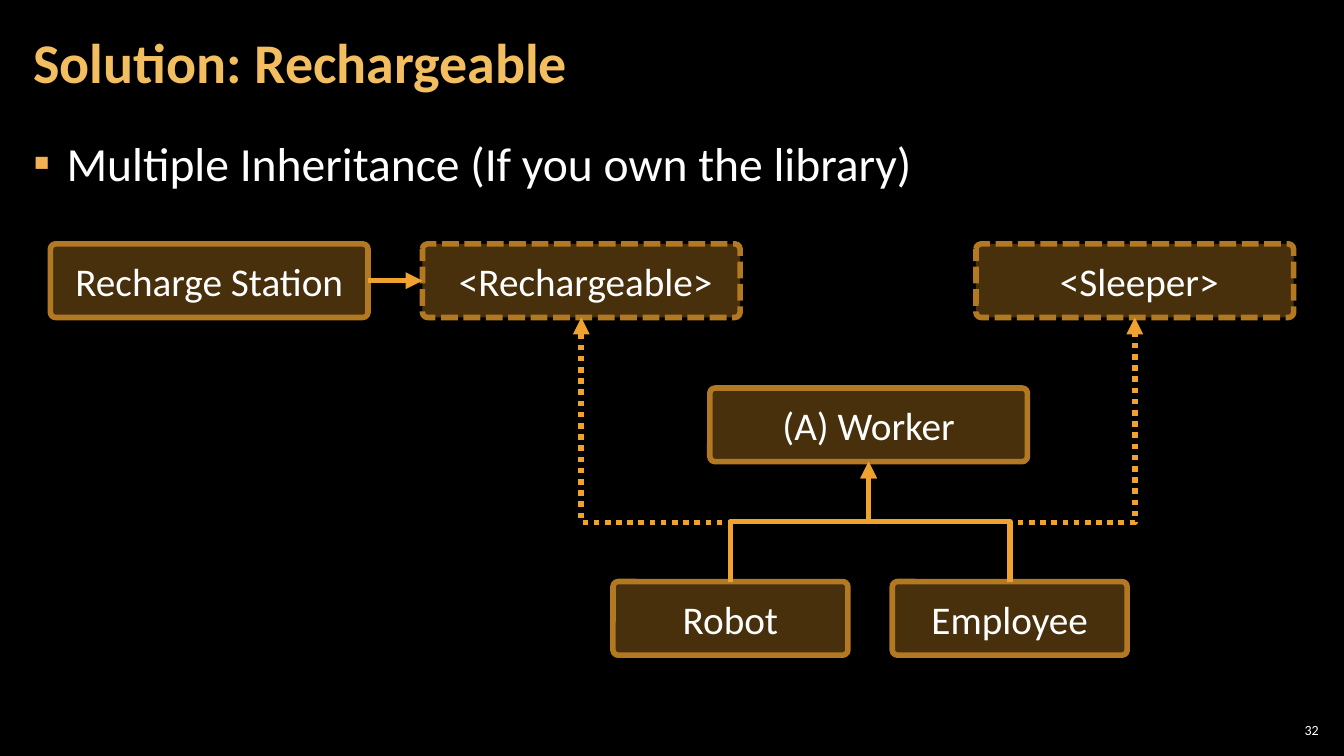
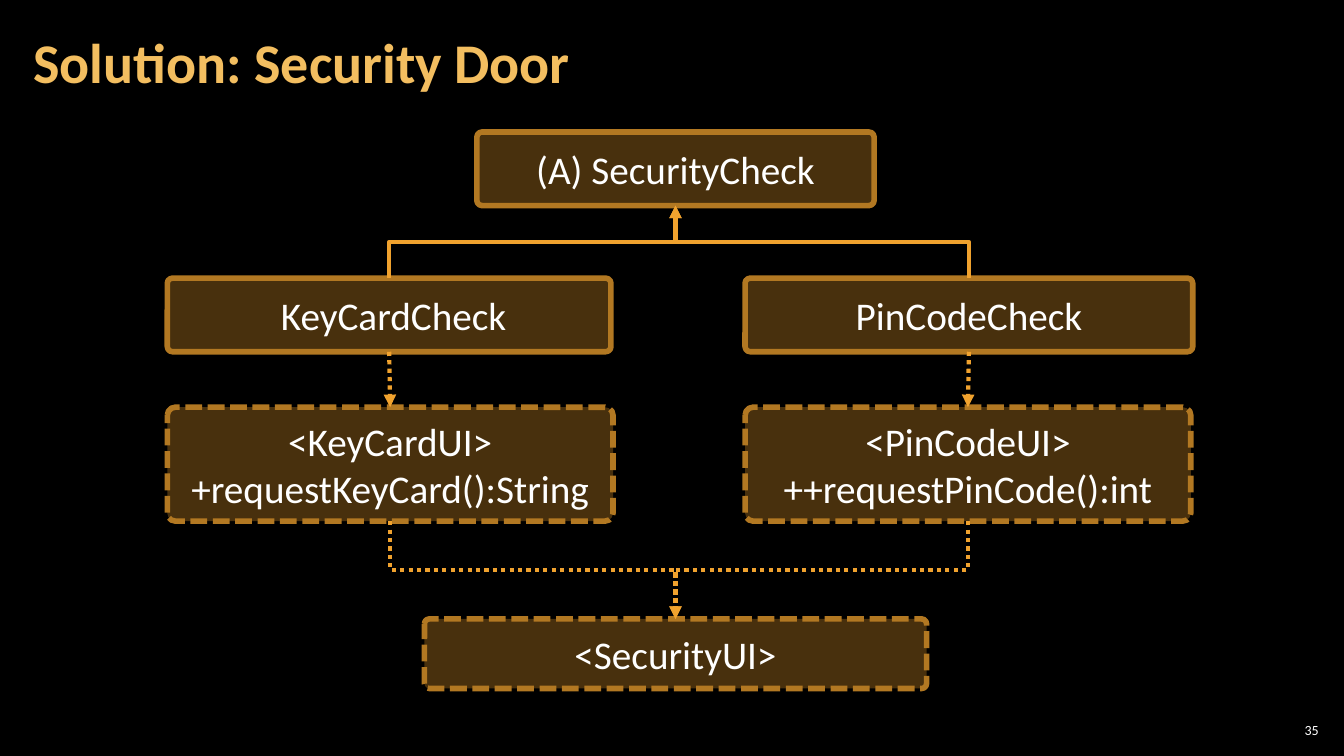
"""Build two class-diagram slides in a shared black and amber style."""
import pptx
import pptx.dml.color
import pptx.enum.dml
import pptx.enum.shapes
import pptx.enum.text
import pptx.oxml
import pptx.oxml.ns
import pptx.util
from pptx.util import Inches

FONT = "Calibri"
BLACK, WHITE = "000000", "FFFFFF"
TITLE_COLOR, BULLET_COLOR = "F3BE60", "F2B254"
AMBER, BORDER = "F0A22E", "B27822"
TOP, LEFT, BOTTOM, RIGHT = range(4)
HALFWAY, LOW_BEND = 0.5, 0.224
LINE_STYLE = pptx.enum.dml.MSO_LINE
ALIGN = pptx.enum.text.PP_ALIGN
MIDDLE = pptx.enum.text.MSO_ANCHOR.MIDDLE
TITLE_AND_CONTENT, TITLE_ONLY = 1, 5

# fmt: skip
SLIDES = [
    {
        "title": "Solution: Rechargeable",
        "number": "32",
        "bullet": "Multiple Inheritance (If you own the library)",
        "line_width": 4,
        "classes": {
            "worker": ("(A) Worker", 7.04, 3.85, 3.15, 0.73),
            "robot": ("Robot", 6.08, 5.77, 2.33, 0.73),
            "employee": ("Employee", 8.85, 5.77, 2.33, 0.73),
            "station": ("Recharge Station", 0.5, 2.42, 3.15, 0.73),
        },
        "interfaces": {
            "rechargeable": (" <Rechargeable>", 4.19, 2.42, 3.15, 0.73),
            "sleeper": (" <Sleeper>", 9.68, 2.42, 3.15, 0.73),
        },
        "straight": [("station", RIGHT, "rechargeable", LEFT, False)],
        "bent": [
            ("robot", TOP, "worker", BOTTOM, False, HALFWAY),
            ("robot", TOP, "rechargeable", BOTTOM, True, LOW_BEND),
            ("employee", TOP, "worker", BOTTOM, False, HALFWAY),
            ("employee", TOP, "sleeper", BOTTOM, True, LOW_BEND),
        ],
    },
    {
        "title": "Solution: Security Door",
        "number": "35",
        "bullet": None,
        "line_width": 3,
        "classes": {
            "check": ("(A) SecurityCheck", 4.73, 1.31, 3.94, 0.73),
            "card": (" KeyCardCheck", 1.66, 2.76, 4.4, 0.73),
            "pin": ("PinCodeCheck", 7.39, 2.76, 4.44, 0.73),
        },
        "interfaces": {
            "card_ui": ("<KeyCardUI>\n+requestKeyCard():String", 1.66, 4.04, 4.42, 1.13),
            "pin_ui": ("<PinCodeUI>\n++requestPinCode():int", 7.39, 4.04, 4.42, 1.13),
            "security_ui": ("<SecurityUI>", 4.21, 6.14, 4.98, 0.69),
        },
        "straight": [
            ("card", BOTTOM, "card_ui", TOP, True),
            ("pin", BOTTOM, "pin_ui", TOP, True),
        ],
        "bent": [
            ("card", TOP, "check", BOTTOM, False, HALFWAY),
            ("pin", TOP, "check", BOTTOM, False, HALFWAY),
            ("card_ui", BOTTOM, "security_ui", TOP, True, HALFWAY),
            ("pin_ui", BOTTOM, "security_ui", TOP, True, HALFWAY),
        ],
    },
]


def color(value):
    return pptx.dml.color.RGBColor.from_string(value)


def add_xml(parent, tag, **attributes):
    child = pptx.oxml.parse_xml(f"<a:{tag} {pptx.oxml.ns.nsdecls('a')}/>")
    for name, value in attributes.items():
        child.set(name, str(value))
    parent.append(child)
    return child


def style_paragraph(para, size, text_color, align=ALIGN.LEFT, bold=False):
    para.alignment = align
    para.font.name = FONT
    para.font.size = pptx.util.Pt(size)
    para.font.bold = bold
    para.font.color.rgb = color(text_color)


def set_text(box, text, side_inset, anchor):
    frame = box.text_frame
    frame.text = text
    frame.word_wrap = True
    frame.auto_size = pptx.enum.text.MSO_AUTO_SIZE.NONE
    frame.vertical_anchor = anchor
    frame.margin_left = frame.margin_right = Inches(side_inset)
    frame.margin_top = frame.margin_bottom = Inches(0.04)
    return frame.paragraphs[0]


def place(shape, left, top, width, height):
    shape.left, shape.top = Inches(left), Inches(top)
    shape.width, shape.height = Inches(width), Inches(height)


def add_title(page, text):
    title = page.shapes.title
    place(title, 0.21, 0.04, 10.47, 1.21)
    para = set_text(title, text, 0.12, MIDDLE)
    style_paragraph(para, 40, TITLE_COLOR, bold=True)
    para.line_spacing = 0.9


def add_bullet(page, text):
    body = page.placeholders[1]
    place(body, 0.21, 1.26, 12.91, 6.09)
    para = set_text(body, text, 0.12, pptx.enum.text.MSO_ANCHOR.TOP)
    style_paragraph(para, 34, WHITE)
    para.line_spacing = 1.05
    para.space_before = para.space_after = pptx.util.Pt(6)
    properties = para._p.get_or_add_pPr()
    properties.set("marL", str(Inches(0.33)))
    properties.set("indent", str(Inches(-0.33)))
    add_xml(add_xml(properties, "buClr"), "srgbClr", val=BULLET_COLOR)
    add_xml(properties, "buFont", typeface=FONT)
    add_xml(properties, "buChar", char="▪")


def add_number(page, text):
    box = page.shapes.add_textbox(Inches(12.65), Inches(7.14), Inches(0.47), Inches(0.21))
    style_paragraph(set_text(box, text, 0.04, MIDDLE), 10, WHITE, ALIGN.RIGHT)


def add_class_box(page, text, left, top, width, height, dashed):
    box = page.shapes.add_shape(
        pptx.enum.shapes.MSO_SHAPE.ROUNDED_RECTANGLE,
        Inches(left), Inches(top), Inches(width), Inches(height))
    box.adjustments[0] = 0.07
    box.shadow.inherit = False
    box.fill.solid()
    box.fill.fore_color.rgb = color(AMBER)
    fill = box._element.spPr.find(pptx.oxml.ns.qn("a:solidFill"))
    add_xml(fill[0], "alpha", val=30000)
    box.line.color.rgb = color(BORDER)
    box.line.width = pptx.util.Pt(4)
    if dashed:
        box.line.dash_style = LINE_STYLE.SQUARE_DOT
    set_text(box, text, 0.1, MIDDLE)
    for para in box.text_frame.paragraphs:
        style_paragraph(para, 28, WHITE, ALIGN.CENTER)
    return box


def add_arrow(page, kind, start, start_site, end, end_site, dotted, width):
    arrow = page.shapes.add_connector(kind, 0, 0, 0, 0)
    arrow.begin_connect(start, start_site)
    arrow.end_connect(end, end_site)
    arrow.line.color.rgb = color(AMBER)
    arrow.line.width = pptx.util.Pt(width)
    if dotted:
        arrow.line.dash_style = LINE_STYLE.ROUND_DOT
    properties = arrow._element.spPr
    add_xml(properties.get_or_add_ln(), "tailEnd", type="triangle")
    add_xml(properties, "effectLst")
    return arrow


def bend_vertically(arrow, bend):
    """Turn an elbow so that it leaves and arrives vertically."""
    rightward = arrow.end_x > arrow.begin_x
    upward = arrow.end_y < arrow.begin_y
    center_x = (arrow.begin_x + arrow.end_x) // 2
    center_y = (arrow.begin_y + arrow.end_y) // 2
    across, along = arrow.width, arrow.height
    arrow.left, arrow.top = center_x - along // 2, center_y - across // 2
    arrow.width, arrow.height = along, across
    properties = arrow._element.spPr
    frame = properties.find(pptx.oxml.ns.qn("a:xfrm"))
    frame.set("rot", str((90 if rightward == upward else 270) * 60000))
    frame.set("flipH", str(int(rightward)))
    frame.set("flipV", str(int(upward)))
    geometry = properties.find(pptx.oxml.ns.qn("a:prstGeom"))
    guides = geometry.find(pptx.oxml.ns.qn("a:avLst"))
    if guides is None:
        guides = add_xml(geometry, "avLst")
    add_xml(guides, "gd", name="adj1", fmla=f"val {round(bend * 100000)}")


def build_slide(deck, content):
    layout = TITLE_AND_CONTENT if content["bullet"] else TITLE_ONLY
    page = deck.slides.add_slide(deck.slide_layouts[layout])
    add_number(page, content["number"])
    add_title(page, content["title"])
    if content["bullet"]:
        add_bullet(page, content["bullet"])
    boxes = {}
    for group, dashed in (("classes", False), ("interfaces", True)):
        for name, values in content[group].items():
            boxes[name] = add_class_box(page, *values, dashed)
    kinds = pptx.enum.shapes.MSO_CONNECTOR
    width = content["line_width"]
    for start, start_site, end, end_site, dotted in content["straight"]:
        add_arrow(page, kinds.STRAIGHT, boxes[start], start_site,
                  boxes[end], end_site, dotted, width)
    for start, start_site, end, end_site, dotted, bend in content["bent"]:
        arrow = add_arrow(page, kinds.ELBOW, boxes[start], start_site,
                          boxes[end], end_site, dotted, width)
        bend_vertically(arrow, bend)


def main():
    deck = pptx.Presentation()
    deck.slide_width, deck.slide_height = Inches(13.33), Inches(7.5)
    background = deck.slide_master.background.fill
    background.solid()
    background.fore_color.rgb = color(BLACK)
    for content in SLIDES:
        build_slide(deck, content)
    deck.save("out.pptx")


if __name__ == "__main__":
    main()
